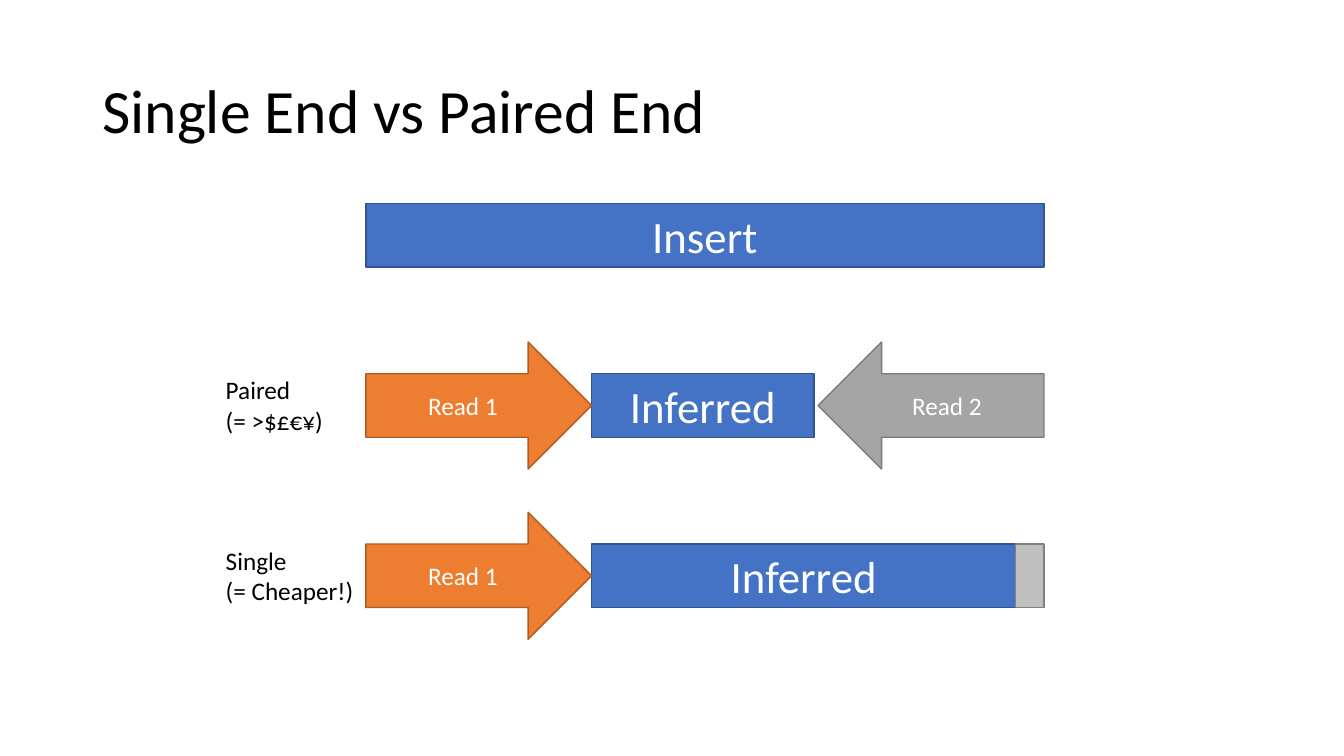
from pptx import Presentation
from pptx.dml.color import RGBColor as Rgb
from pptx.enum.shapes import MSO_SHAPE as Kind
from pptx.enum.text import MSO_ANCHOR as Anchor, MSO_AUTO_SIZE as Auto, PP_ALIGN as Align
from pptx.util import Cm, Pt

TITLE = "Single End vs Paired End"
HUES = {
    "text": "000000", "light": "FFFFFF",
    "blue": "4472C4", "blue rim": "325491",
    "orange": "ED7D31", "orange rim": "AF5C24",
    "gray": "A5A5A5", "gray rim": "7A7A7A",
    "pale": "BFBFBF", "pale rim": "808080",
}
# Form: kind, height in cm, text size
FORMS = {
    "bar": (Kind.RECTANGLE, 1.6, 32),
    "right": (Kind.RIGHT_ARROW, 3.2, 18),
    "left": (Kind.LEFT_ARROW, 3.2, 18),
}
# Lengths in cm
LEFT, RIGHT = 9.22, 26.31
READ = 5.69
TAIL = 0.71
GAP = 0.1
TOP, STEP = 5.93, 4.29
NOTE_X, NOTE_H = 5.44, 1.8
START = LEFT + READ

# Each row: note lines, note width, parts as (form, text, hue, from, to)
ROWS = [
    ([], 0, [("bar", "Insert", "blue", LEFT, RIGHT)]),
    (["Paired", "(= >$£€¥)"], 3, [
        ("bar", "Inferred", "blue", START, RIGHT - READ - GAP),
        ("right", "Read 1", "orange", LEFT, START),
        ("left", "Read 2", "gray", RIGHT - READ, RIGHT),
    ]),
    (["Single", "(= Cheaper!)"], 3.78, [
        ("bar", "Inferred", "blue", START, RIGHT - TAIL),
        ("right", "Read 1", "orange", LEFT, START),
        ("bar", "", "pale", RIGHT - TAIL, RIGHT),
    ]),
]


def color(name):
    return Rgb.from_string(HUES[name])


def write(shape, lines, size, hue, para, **frame):
    """Fill a shape with lines; para and frame hold format values."""
    body = shape.text_frame
    body.text = "\n".join(lines)
    for key, value in frame.items():
        setattr(body, key, value)
    for line in body.paragraphs:
        for key, value in para.items():
            setattr(line, key, value)
        for run in line.runs:
            for key, value in {"name": "Calibri", "size": Pt(size)}.items():
                setattr(run.font, key, value)
            run.font.color.rgb = color(hue)


def draw(home, mid, form, text, hue, start, end):
    """Draw one part, centred on the row's middle line."""
    kind, high, size = FORMS[form]
    part = home.add_shape(kind, Cm(start), Cm(mid - high / 2), Cm(end - start), Cm(high))
    part.shadow.inherit = False
    part.fill.solid()
    part.fill.fore_color.rgb = color(hue)
    part.line.color.rgb = color(hue + " rim")
    part.line.width = Pt(1)
    if text:
        write(part, [text], size, "light", {"alignment": Align.CENTER},
              vertical_anchor=Anchor.MIDDLE, word_wrap=True)


def main():
    deck = Presentation()
    deck.slide_width, deck.slide_height = Cm(33.87), Cm(19.05)
    shapes = deck.slides.add_slide(deck.slide_layouts[6]).shapes

    title = shapes.add_textbox(Cm(2.33), Cm(1.01), Cm(29.21), Cm(3.68))
    write(title, [TITLE], 44, "text", {"line_spacing": 0.9},
          vertical_anchor=Anchor.MIDDLE, word_wrap=True)

    for index, (note, wide, parts) in enumerate(ROWS):
        mid = TOP + index * STEP
        home = shapes.add_group_shape().shapes if note else shapes
        for part in parts:
            draw(home if part[1] else shapes, mid, *part)
        if note:
            box = home.add_textbox(Cm(NOTE_X), Cm(mid - NOTE_H / 2), Cm(wide), Cm(NOTE_H))
            write(box, note, 18, "text", {"alignment": Align.LEFT},
                  word_wrap=False, auto_size=Auto.SHAPE_TO_FIT_TEXT)

    deck.save("out.pptx")


if __name__ == "__main__":
    main()
